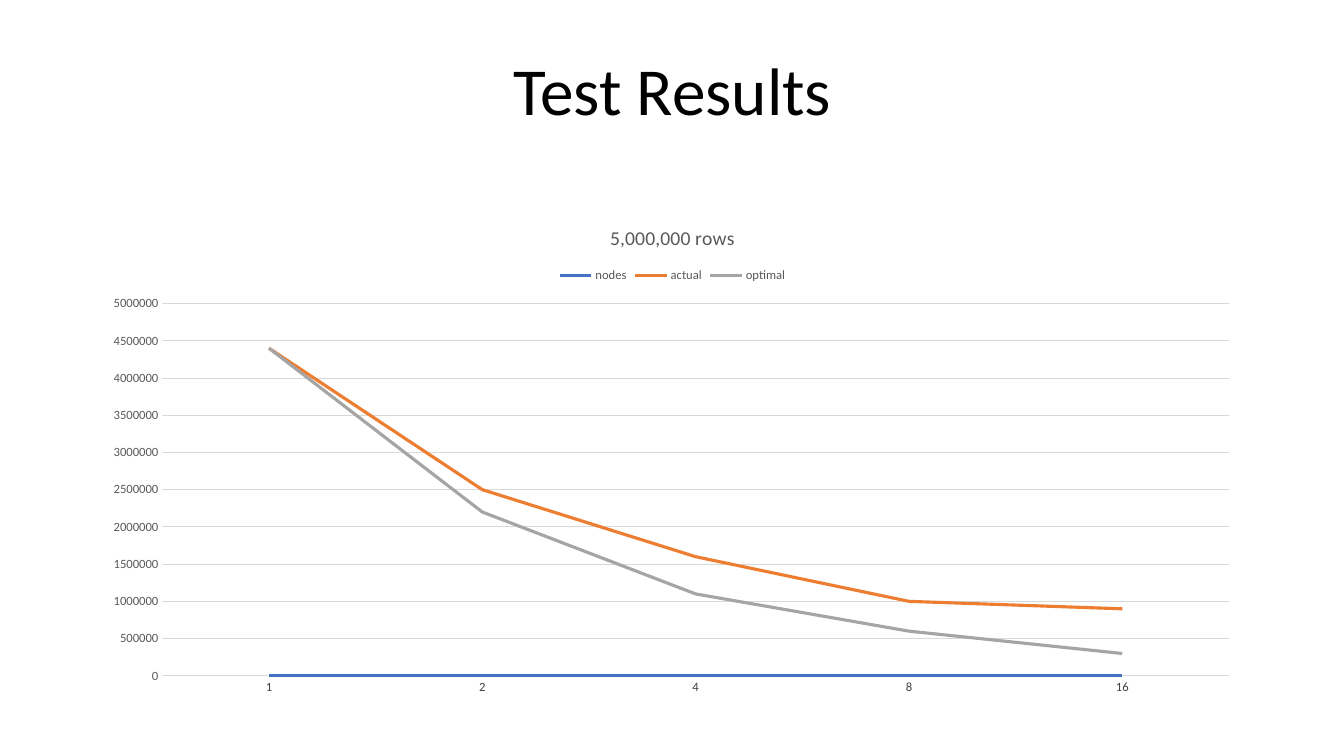
import pptx
import pptx.chart.data
import pptx.dml.color
import pptx.enum.chart
import pptx.enum.text
import pptx.oxml
import pptx.oxml.ns
import pptx.util

RGBColor = pptx.dml.color.RGBColor
BLACK = RGBColor(0x00, 0x00, 0x00)
DARK = RGBColor(0x40, 0x40, 0x40)
GREY = RGBColor(0x59, 0x59, 0x59)
PALE = RGBColor(0xD9, 0xD9, 0xD9)
BLUE = RGBColor(0x44, 0x72, 0xC4)
ORANGE = RGBColor(0xED, 0x7D, 0x31)
SILVER = RGBColor(0xA5, 0xA5, 0xA5)

WIDTH, HEIGHT = pptx.util.Inches(13.33), pptx.util.Inches(7.5)
LEFT, SPAN = pptx.util.Inches(0.92), pptx.util.Inches(11.5)
FACE = "Calibri"

SERIES = [
    ("nodes", BLUE, (1, 2, 4, 8, 16)),
    ("actual", ORANGE, (4400000, 2500000, 1600000, 1000000, 900000)),
    ("optimal", SILVER, (4400000, 2200000, 1100000, 600000, 300000)),
]


def set_font(font, size, color):
    font.name = FACE
    font.size = pptx.util.Pt(size)
    font.bold = False
    font.color.rgb = color


def add_title(slide, text):
    title = slide.shapes.title
    title.left, title.width = LEFT, SPAN
    title.top, title.height = pptx.util.Inches(0.32), pptx.util.Inches(1.02)
    frame = title.text_frame
    frame.text = text
    frame.vertical_anchor = pptx.enum.text.MSO_ANCHOR.BOTTOM
    frame.auto_size = pptx.enum.text.MSO_AUTO_SIZE.NONE
    line = frame.paragraphs[0]
    line.alignment = pptx.enum.text.PP_ALIGN.CENTER
    line.line_spacing = 0.9
    set_font(line.font, 48, BLACK)


def place_plot(chart, **shares):
    """Fix the inner plot area, in shares of the chart's size."""
    area = chart._chartSpace.chart.plotArea
    for old in area.findall(pptx.oxml.ns.qn("c:layout")):
        area.remove(old)
    marks = "".join(f'<c:{key} val="{val}"/>' for key, val in shares.items())
    area.insert(0, pptx.oxml.parse_xml(
        f'<c:layout {pptx.oxml.ns.nsdecls("c")}><c:manualLayout>'
        '<c:layoutTarget val="inner"/><c:xMode val="edge"/>'
        f'<c:yMode val="edge"/>{marks}</c:manualLayout></c:layout>'))


def style_axes(chart):
    chart.category_axis.visible = False
    axis = chart.value_axis
    axis.minimum_scale, axis.maximum_scale = 0, 5000000
    axis.major_unit = 500000
    axis.major_tick_mark = pptx.enum.chart.XL_TICK_MARK.NONE
    axis.format.line.fill.background()
    set_font(axis.tick_labels.font, 9, GREY)
    grid = axis.major_gridlines.format.line
    grid.color.rgb = PALE
    grid.width = pptx.util.Pt(0.75)


def style_lines(plot):
    for line, (_, color, _) in zip(plot.series, SERIES):
        line.smooth = False
        line.marker.style = pptx.enum.chart.XL_MARKER_STYLE.NONE
        line.format.line.color.rgb = color
        line.format.line.width = pptx.util.Pt(2.25)
    # The node counts stand in for category labels
    labels = plot.series[0].data_labels
    labels.show_value = True
    labels.position = pptx.enum.chart.XL_LABEL_POSITION.BELOW
    set_font(labels.font, 9, DARK)


def add_lines(slide, heading):
    data = pptx.chart.data.CategoryChartData()
    data.categories = [str(num) for num in range(1, 6)]
    for name, _, values in SERIES:
        data.add_series(name, values)
    chart = slide.shapes.add_chart(
        pptx.enum.chart.XL_CHART_TYPE.LINE, LEFT, pptx.util.Inches(2.04),
        SPAN, pptx.util.Inches(4.86), data).chart
    set_font(chart.font, 10, BLACK)
    chart.plots[0].vary_by_categories = False

    # Heading and legend
    chart.has_title = True
    frame = chart.chart_title.text_frame
    frame.text = heading
    set_font(frame.paragraphs[0].font, 14, GREY)
    chart.has_legend = True
    chart.legend.position = pptx.enum.chart.XL_LEGEND_POSITION.TOP
    chart.legend.include_in_layout = False
    set_font(chart.legend.font, 9, GREY)

    # Axes, lines and plot area
    style_axes(chart)
    style_lines(chart.plots[0])
    place_plot(chart, x=0.06, y=0.2, w=0.92, h=0.76)


def main():
    deck = pptx.Presentation()
    deck.slide_width, deck.slide_height = WIDTH, HEIGHT
    slide = deck.slides.add_slide(deck.slide_layouts[5])
    add_title(slide, "Test Results")
    add_lines(slide, "5,000,000 rows")
    deck.save("out.pptx")


if __name__ == "__main__":
    main()
